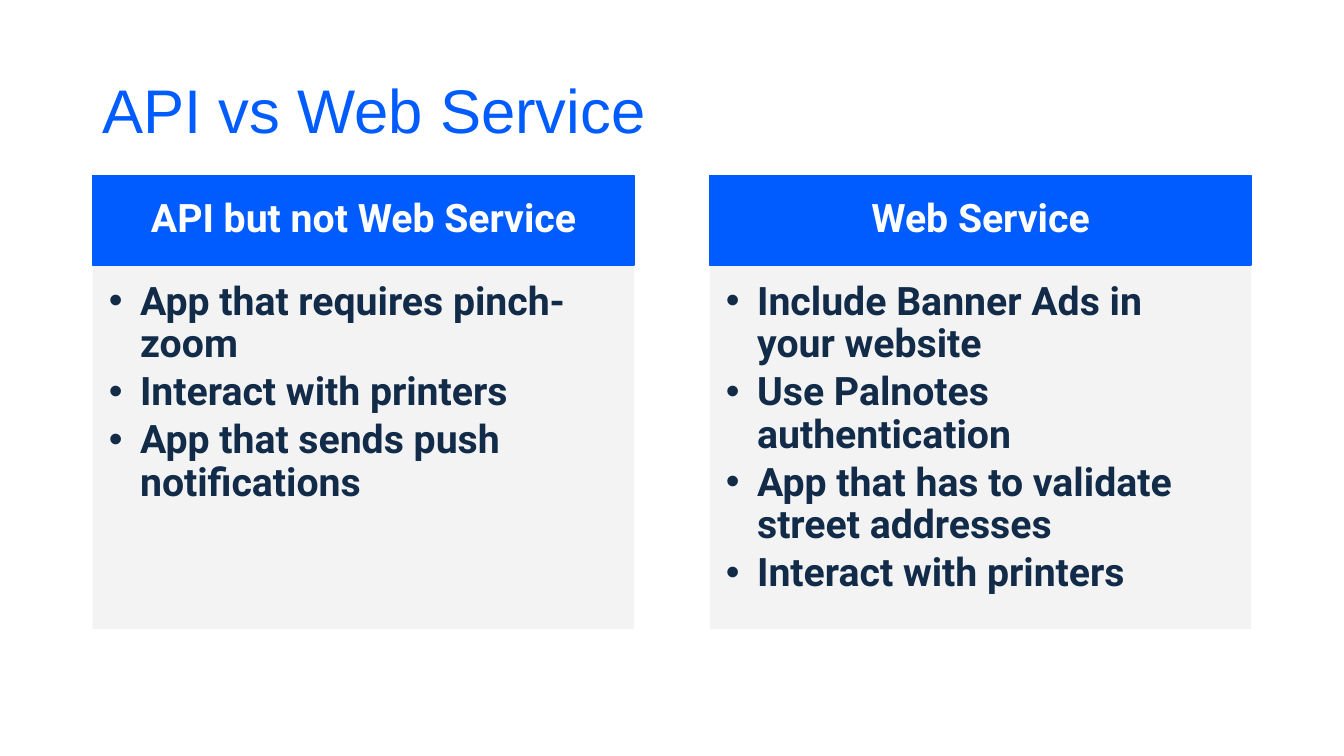
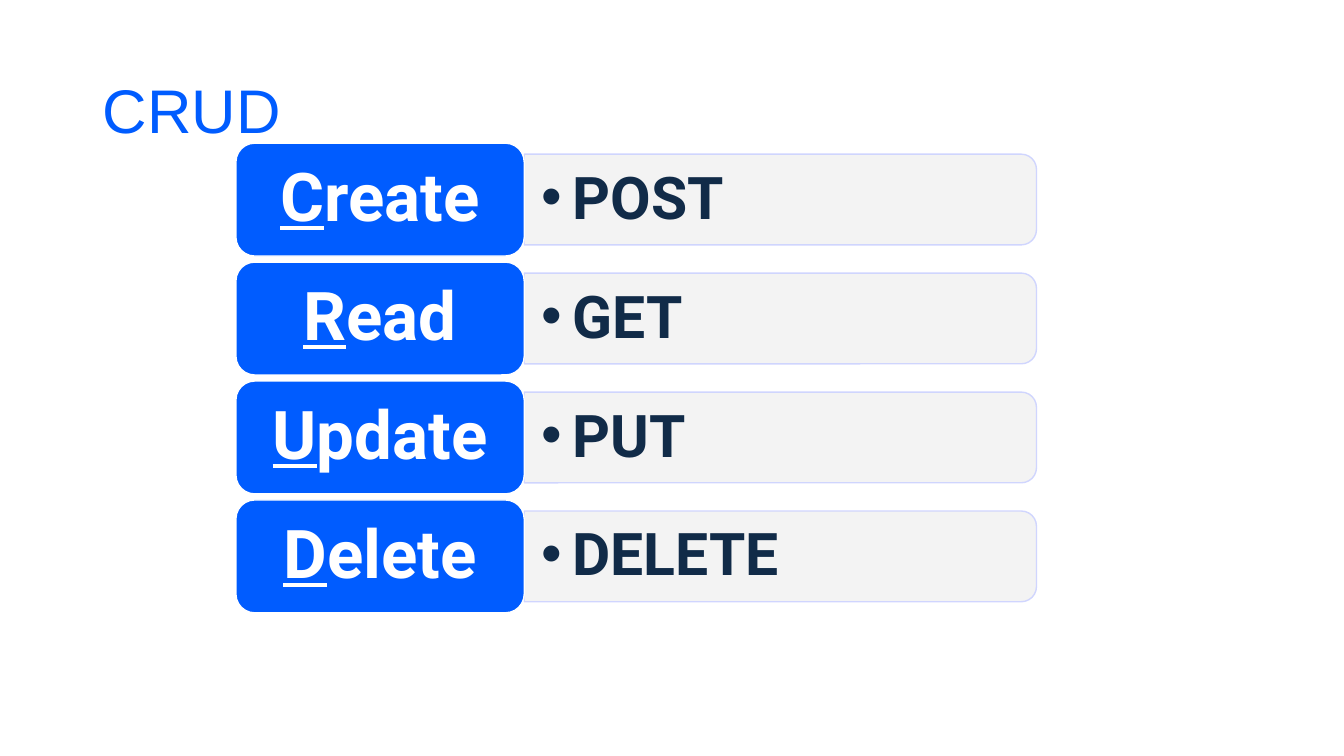
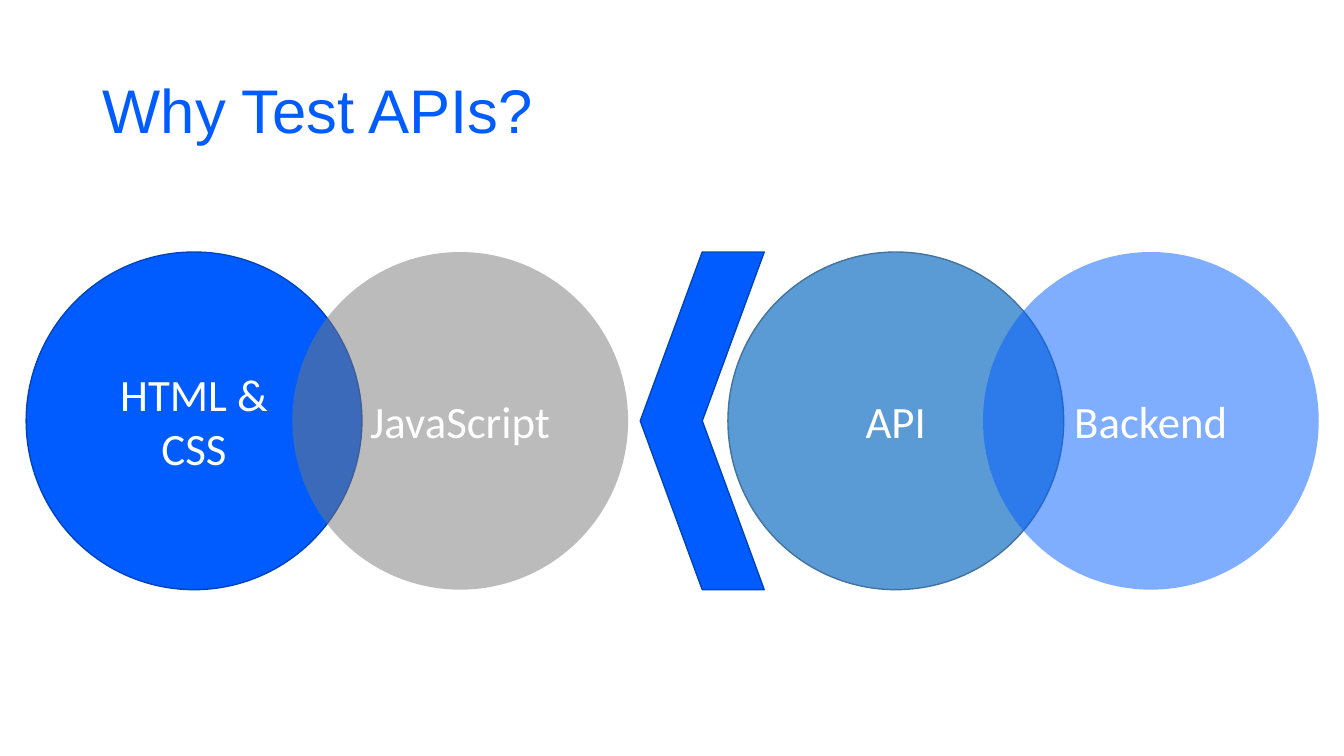
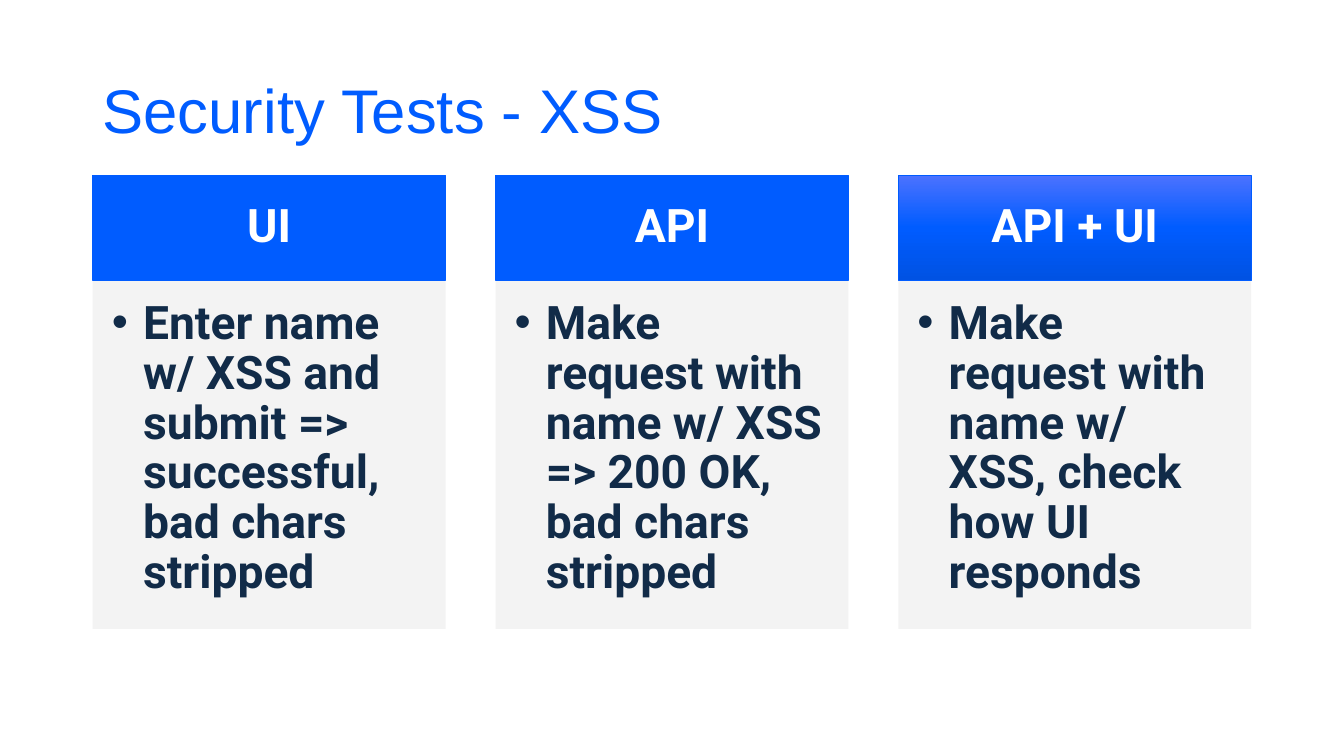
from copy import deepcopy

from lxml import etree
from pptx import Presentation
from pptx import util as u
from pptx.dml.color import RGBColor
from pptx.enum import shapes, text
from pptx.oxml import ns

BLUE = RGBColor(0x00, 0x5C, 0xFF)
DARK_BLUE = RGBColor(0x00, 0x44, 0xBD)
SKY = RGBColor(0x5B, 0x9B, 0xD5)
SKY_EDGE = RGBColor(0x43, 0x73, 0x9E)
GRAY = RGBColor(0x79, 0x79, 0x79)
PALE = RGBColor(0xF2, 0xF2, 0xF2)
PALE_EDGE = RGBColor(0xCC, 0xD2, 0xFF)
NAVY = RGBColor(0x11, 0x2B, 0x48)
WHITE = RGBColor(0xFF, 0xFF, 0xFF)
GLOSS = [(0, RGBColor(0x4B, 0x72, 0xFF)), (0.5, BLUE), (1, RGBColor(0x00, 0x52, 0xE3))]

KIND = shapes.MSO_SHAPE
CENTER, START = text.PP_ALIGN.CENTER, text.PP_ALIGN.LEFT
MIDDLE, TOP = text.MSO_ANCHOR.MIDDLE, text.MSO_ANCHOR.TOP

LEFT, CONTENT_WIDTH = 0.92, 11.49
COLUMN_TOP, COLUMN_BOTTOM = 1.74, 6.24
INDENT = 0.31

API_COLUMNS = [
    ("API but not Web Service", [
        "App that requires pinch-zoom",
        "Interact with printers",
        "App that sends push notifications"]),
    ("Web Service", [
        "Include Banner Ads in your website",
        "Use Palnotes authentication",
        "App that has to validate street addresses",
        "Interact with printers"]),
]
CRUD_ROWS = [("Create", "POST"), ("Read", "GET"), ("Update", "PUT"), ("Delete", "DELETE")]
# lines of text, left edge, fill, opacity in percent, outline
LAYERS = [
    (["HTML &", "CSS"], 0.26, BLUE, 100, DARK_BLUE),
    (["API"], 7.22, SKY, 100, SKY_EDGE),
    (["JavaScript"], 2.9, GRAY, 50, None),
    (["Backend"], 9.75, BLUE, 50, None),
]
XSS_COLUMNS = [
    ("UI", ["Enter name w/ XSS and submit => successful, bad chars stripped"]),
    ("API", ["Make request with name w/ XSS => 200 OK, bad chars stripped"]),
    ("API + UI", ["Make request with name w/ XSS, check how UI responds"]),
]


def inches(values):
    return [u.Inches(value) for value in values]


def set_opacity(color_format_parent, percent):
    for color in color_format_parent.iter(ns.qn("a:srgbClr")):
        etree.SubElement(color, ns.qn("a:alpha"), val=str(percent * 1000))


def add_box(page, kind, place, fill, edge=None, opacity=100, edge_width=1):
    box = page.shapes.add_shape(kind, *inches(place))
    box.shadow.inherit = False
    box.fill.solid()
    box.fill.fore_color.rgb = fill
    if edge is None:
        box.line.fill.background()
    else:
        box.line.color.rgb = edge
        box.line.width = u.Pt(edge_width)
    if opacity < 100:
        set_opacity(box.element.spPr, opacity)
    return box


def add_gloss(box):
    """Fill a box with the vertical three-stop gradient."""
    box.fill.gradient()
    box.fill.gradient_angle = 270
    stop_list = box.element.spPr.find(".//" + ns.qn("a:gsLst"))
    stop_list.append(deepcopy(stop_list[-1]))
    for stop, (position, color) in zip(box.fill.gradient_stops, GLOSS):
        stop.position = position
        stop.color.rgb = color


def add_bullet(para):
    props = para._p.get_or_add_pPr()
    props.set("marL", str(u.Inches(INDENT)))
    props.set("indent", str(-u.Inches(INDENT)))
    etree.SubElement(props, ns.qn("a:buFont"), typeface="Arial")
    etree.SubElement(props, ns.qn("a:buChar"), char="•")


def write(box, lines, font, size, color, bold=False, align=START, anchor=MIDDLE,
          insets=(0.1, 0.05, 0.1, 0.05), spacing=0.9, bullets=False, mark_initial=False):
    frame = box.text_frame
    frame.word_wrap = True
    frame.vertical_anchor = anchor
    (frame.margin_left, frame.margin_top,
     frame.margin_right, frame.margin_bottom) = inches(insets)
    for index, line in enumerate(lines):
        para = frame.add_paragraph() if index else frame.paragraphs[0]
        para.alignment = align
        para.line_spacing = spacing
        if bullets:
            para.space_after = u.Pt(size * 0.15)
            add_bullet(para)
        for part in ([line[0], line[1:]] if mark_initial else [line]):
            para.add_run().text = part
        if mark_initial:
            para.runs[0].font.underline = True
        para.font.name = font
        para.font.size = u.Pt(size)
        para.font.bold = bold
        para.font.color.rgb = color


def add_page(deck, title):
    page = deck.slides.add_slide(deck.slide_layouts[6])
    box = page.shapes.add_textbox(*inches((LEFT, 0.4, 11.5, 1.45)))
    write(box, [title], "Arial", 44, BLUE)
    return page


def add_columns(page, columns, width, header_height, size, head_insets, body_insets):
    """Spread headed bullet panels evenly over the content width."""
    pitch = (CONTENT_WIDTH - width) / (len(columns) - 1)
    body_top = COLUMN_TOP + header_height
    headers = []
    for index, (heading, points) in enumerate(columns):
        left = LEFT + index * pitch
        body = add_box(page, KIND.RECTANGLE,
                       (left, body_top, width, COLUMN_BOTTOM - body_top), PALE, opacity=90)
        write(body, points, "Roboto", size, NAVY, True, anchor=TOP,
              insets=body_insets, bullets=True)
        header = add_box(page, KIND.RECTANGLE,
                         (left, COLUMN_TOP, width, header_height), BLUE, BLUE)
        write(header, [heading], "Roboto", size, WHITE, True, CENTER, insets=head_insets)
        headers.append(header)
    return headers


def add_crud_rows(page):
    top, pitch = 1.42, 1.18
    left, tile_width, tile_height = 2.34, 2.86, 1.12
    bar_width, bar_height = 5.08, 0.9
    bar_left = left + tile_width
    for index, (action, method) in enumerate(CRUD_ROWS):
        row_top = top + index * pitch
        middle = row_top + tile_height / 2
        # The bar stands upright before it is turned by 90 degrees.
        bar = add_box(page, KIND.ROUND_2_SAME_RECTANGLE,
                      (bar_left + (bar_width - bar_height) / 2, middle - bar_width / 2,
                       bar_height, bar_width), PALE, PALE_EDGE, 90)
        bar.rotation = 90
        label = page.shapes.add_textbox(*inches((bar_left, middle - 0.4, 5.04, 0.81)))
        write(label, [method], "Roboto", 42, NAVY, True,
              insets=(0.17, 0.09, 0.17, 0.09), bullets=True)
        tile = add_box(page, KIND.ROUNDED_RECTANGLE,
                       (left, row_top, tile_width, tile_height), BLUE, WHITE)
        write(tile, [action], "Roboto", 48, WHITE, True, CENTER,
              insets=(0.2, 0.1, 0.2, 0.1), mark_initial=True)


def add_layers(page):
    top, width, height = 2.5, 3.33, 3.35
    for lines, left, fill, opacity, edge in LAYERS:
        circle = add_box(page, KIND.OVAL, (left, top, width, height), fill, edge, opacity)
        write(circle, lines, "Calibri", 32, WHITE, align=CENTER, spacing=1.0)
    chevron = add_box(page, KIND.CHEVRON, (6.35, top, 1.23, height), BLUE, DARK_BLUE)
    chevron.rotation = 180


def main():
    deck = Presentation()
    deck.slide_width, deck.slide_height = inches((13.33, 7.5))

    add_columns(add_page(deck, "API vs Web Service"), API_COLUMNS, 5.37, 0.89, 28,
                (0.22, 0.12, 0.22, 0.12), (0.16, 0.16, 0.22, 0.24))
    add_crud_rows(add_page(deck, "CRUD"))
    add_layers(add_page(deck, "Why Test APIs?"))
    headers = add_columns(add_page(deck, "Security Tests - XSS"), XSS_COLUMNS, 3.5, 1.04, 33,
                          (0.26, 0.15, 0.26, 0.15), (0.19, 0.19, 0.26, 0.29))
    add_gloss(headers[-1])
    headers[-1].line.width = u.Pt(0.5)

    deck.save("out.pptx")


if __name__ == "__main__":
    main()
